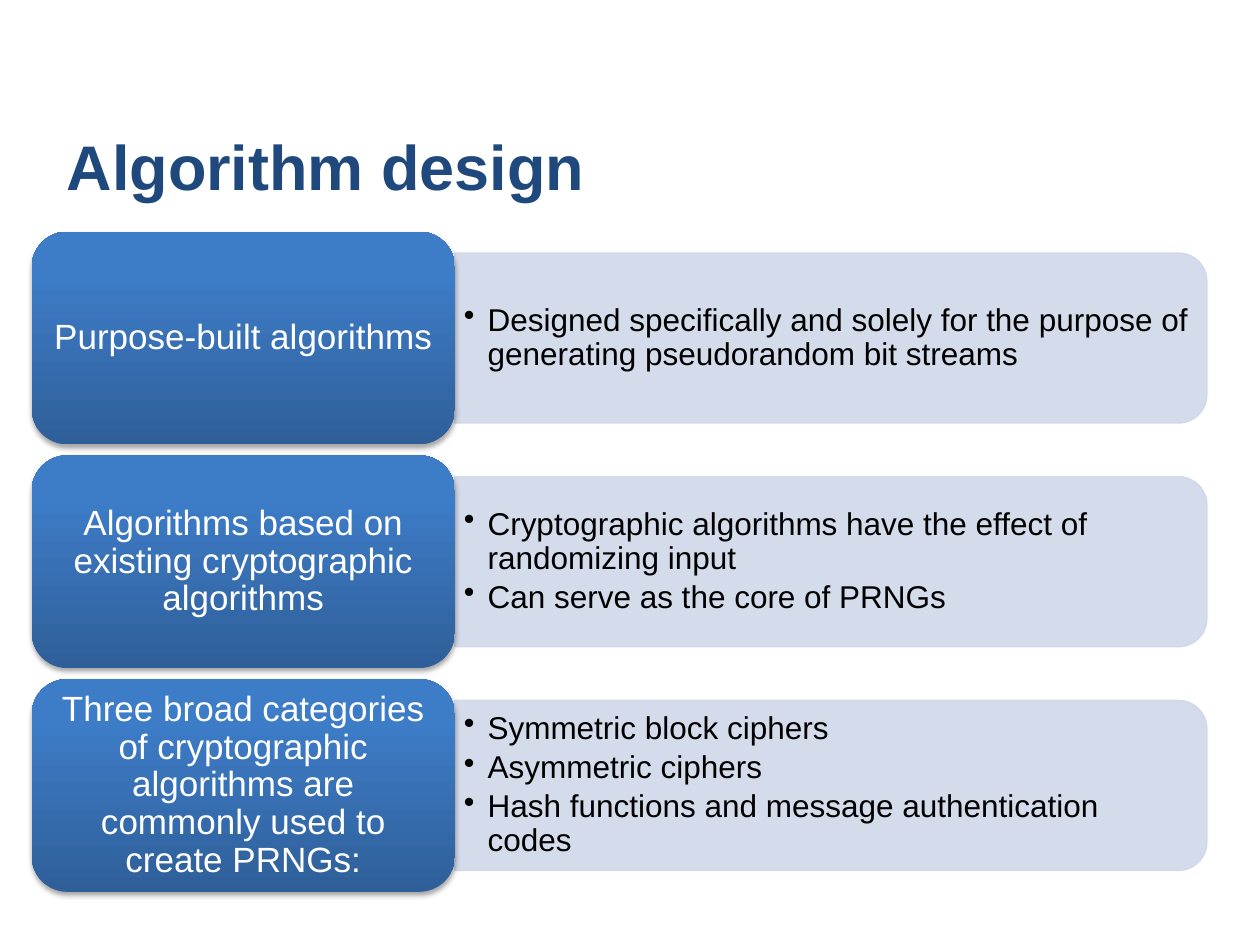
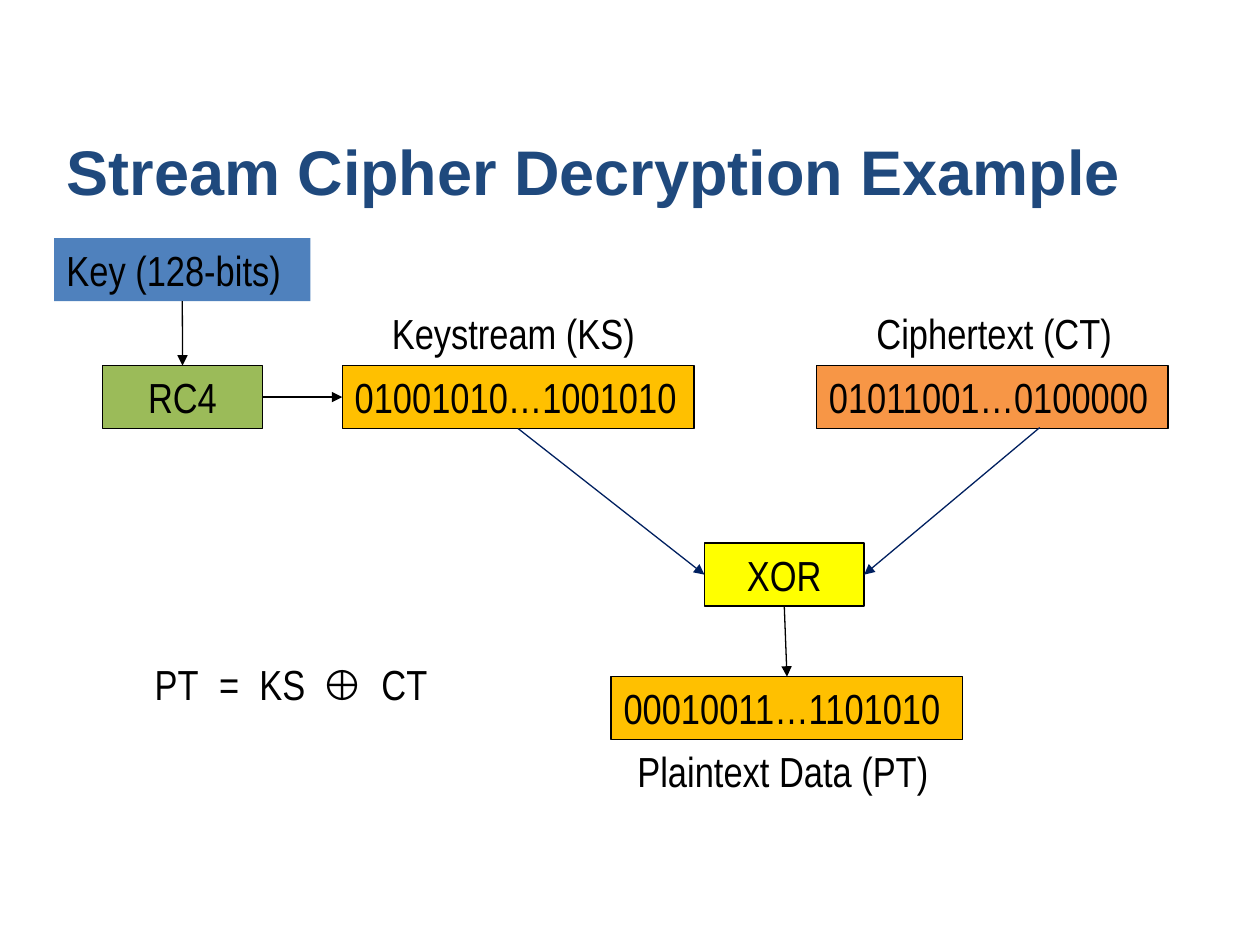
from lxml.etree import SubElement
from pptx import Presentation
from pptx.dml.color import RGBColor
from pptx.enum.shapes import MSO_CONNECTOR, MSO_SHAPE
from pptx.enum.text import MSO_ANCHOR, MSO_AUTO_SIZE, PP_ALIGN
from pptx.oxml.ns import qn
from pptx.util import Cm, Pt

# Shared style
NAVY, DARK_BLUE = "1F497D", "002060"
BLACK, WHITE = "000000", "FFFFFF"
PANEL = "D0D8E8"
BLUE, GREEN, GOLD, ORANGE, YELLOW = "4F81BD", "9BBB59", "FFC000", "F79646", "FFFF00"
SANS, NARROW = "Arial", "Arial Narrow"
TOP, LEFT, BOTTOM, RIGHT = range(4)

# Rows of the algorithm slide, in cm
ROW_TOP, ROW_PITCH = 4.67, 4.51
TOPIC_LEFT, TOPIC_WIDTH, TOPIC_HEIGHT = 0.64, 8.53, 4.29
DETAIL_LEFT = TOPIC_LEFT + TOPIC_WIDTH
DETAIL_WIDTH, DETAIL_HEIGHT = 15.16, 3.43

# Boxes of the cipher diagram, in cm
BOX_HEIGHT = 1.27
BITS_WIDTH, STEP_WIDTH = 7.09, 3.22
KEY_TOP = 4.8
STREAM_TOP = 7.37
FORMULA_TOP = 13.16

ALGORITHMS = [
    ("Purpose-built algorithms",
     ["Designed specifically and solely for the purpose of generating "
      "pseudorandom bit streams"]),
    ("Algorithms based on existing cryptographic algorithms",
     ["Cryptographic algorithms have the effect of randomizing input",
      "Can serve as the core of PRNGs"]),
    ("Three broad categories of cryptographic algorithms are commonly used "
     "to create PRNGs:",
     ["Symmetric block ciphers",
      "Asymmetric ciphers",
      "Hash functions and message authentication codes"]),
]

FORMULA = [("PT", 2.87), ("=", 4.17), ("KS", 4.98), ("⊕", 6.24), ("CT", 7.44)]


def rgb(value):
    return RGBColor.from_string(value)


def set_font(paragraph, name, size, color, bold=False):
    font = paragraph.font
    font.name, font.size, font.bold = name, Pt(size), bold
    font.color.rgb = rgb(color)


def set_margins(frame, side, end):
    frame.margin_left = frame.margin_right = Cm(side)
    frame.margin_top = frame.margin_bottom = Cm(end)


def set_alpha(fill, percent):
    color = fill._xPr.find(".//" + qn("a:srgbClr"))
    SubElement(color, qn("a:alpha"), val=str(percent * 1000))


def add_soft_shadow(shape):
    shape.shadow.inherit = False
    effects = shape._element.spPr.find(qn("a:effectLst"))
    shadow = SubElement(effects, qn("a:outerShdw"), blurRad="40000", dist="23000",
                        dir="5400000", rotWithShape="0")
    color = SubElement(shadow, qn("a:srgbClr"), val=BLACK)
    SubElement(color, qn("a:alpha"), val="35000")


def add_bullet(paragraph):
    properties = paragraph._p.get_or_add_pPr()
    properties.set("marL", str(Cm(0.48)))
    properties.set("indent", str(-Cm(0.48)))
    SubElement(properties, qn("a:buChar"), char="•")


def add_titled_slide(deck, text, height):
    slide = deck.slides.add_slide(deck.slide_layouts[5])
    title = slide.shapes.title
    title.left, title.top, title.width, title.height = (
        Cm(1.09), Cm(2.54), Cm(23.39), Cm(height))
    frame = title.text_frame
    frame.text = text
    frame.auto_size = MSO_AUTO_SIZE.NONE
    frame.vertical_anchor = MSO_ANCHOR.BOTTOM
    paragraph = frame.paragraphs[0]
    paragraph.alignment = PP_ALIGN.LEFT
    set_font(paragraph, SANS, 36, NAVY, bold=True)
    return slide


def add_detail_panel(slide, middle, points):
    # The panel is a tall shape turned on its side, rounded on the right
    panel = slide.shapes.add_shape(
        MSO_SHAPE.ROUND_2_SAME_RECTANGLE,
        Cm(DETAIL_LEFT + (DETAIL_WIDTH - DETAIL_HEIGHT) / 2),
        Cm(middle - DETAIL_WIDTH / 2), Cm(DETAIL_HEIGHT), Cm(DETAIL_WIDTH))
    panel.rotation = 90
    panel.shadow.inherit = False
    panel.line.width = Pt(0.75)
    for fill in (panel.fill, panel.line.fill):
        fill.solid()
        fill.fore_color.rgb = rgb(PANEL)
        set_alpha(fill, 90)

    height = 3.1
    details = slide.shapes.add_textbox(
        Cm(DETAIL_LEFT), Cm(middle - height / 2), Cm(15), Cm(height))
    frame = details.text_frame
    frame.word_wrap = True
    frame.vertical_anchor = MSO_ANCHOR.MIDDLE
    set_margins(frame, 0.18, 0.1)
    frame.text = "\n".join(points)
    for paragraph in frame.paragraphs:
        paragraph.line_spacing = 0.9
        paragraph.space_after = Pt(3)
        add_bullet(paragraph)
        set_font(paragraph, SANS, 18, BLACK)


def add_topic(slide, top, text):
    topic = slide.shapes.add_shape(
        MSO_SHAPE.ROUNDED_RECTANGLE, Cm(TOPIC_LEFT), Cm(top),
        Cm(TOPIC_WIDTH), Cm(TOPIC_HEIGHT))
    topic.fill.gradient()
    topic.fill.gradient_angle = 90
    stops = zip(topic.fill.gradient_stops, (0, 0.8), ("2F5F99", "3D7CC7"))
    for stop, position, color in stops:
        stop.position = position
        stop.color.rgb = rgb(color)
    topic.line.fill.background()
    add_soft_shadow(topic)
    frame = topic.text_frame
    set_margins(frame, 0.2, 0.1)
    frame.text = text
    paragraph = frame.paragraphs[0]
    paragraph.alignment = PP_ALIGN.CENTER
    paragraph.line_spacing = 0.9
    set_font(paragraph, SANS, 20, WHITE)


def write_diagram_text(shape, text, align=PP_ALIGN.LEFT, bold=False):
    frame = shape.text_frame
    frame.word_wrap = True
    frame.text = text
    paragraph = frame.paragraphs[0]
    paragraph.alignment = align
    set_font(paragraph, NARROW, 24, BLACK, bold)


def add_box(slide, text, left, top, width, fill, align=PP_ALIGN.LEFT, outlined=True):
    box = slide.shapes.add_shape(
        MSO_SHAPE.RECTANGLE, Cm(left), Cm(top), Cm(width), Cm(BOX_HEIGHT))
    box.shadow.inherit = False
    box.fill.solid()
    box.fill.fore_color.rgb = rgb(fill)
    if outlined:
        box.line.color.rgb = rgb(BLACK)
        box.line.width = Pt(0.75)
    else:
        box.line.fill.background()
    write_diagram_text(box, text, align)
    return box


def add_label(slide, text, left, top, width, bold=False):
    label = slide.shapes.add_textbox(Cm(left), Cm(top), Cm(width), Cm(BOX_HEIGHT))
    write_diagram_text(label, text, bold=bold)


def add_arrow(slide, target, target_side, source=None, source_side=BOTTOM,
              start=(0, 0), color=BLACK):
    """Run from a side of source, or from a free start point, to a side of target."""
    x, y = map(Cm, start)
    arrow = slide.shapes.add_connector(MSO_CONNECTOR.STRAIGHT, x, y, x, y)
    if source is not None:
        arrow.begin_connect(source, source_side)
    arrow.end_connect(target, target_side)
    arrow.line.color.rgb = rgb(color)
    arrow.line.width = Pt(0.75)
    SubElement(arrow.line._get_or_add_ln(), qn("a:tailEnd"), type="triangle")
    SubElement(arrow._element.spPr, qn("a:effectLst"))


def build_algorithm_slide(deck):
    slide = add_titled_slide(deck, "Algorithm design", 1.68)
    for row, (topic, points) in enumerate(ALGORITHMS):
        top = ROW_TOP + row * ROW_PITCH
        add_detail_panel(slide, top + TOPIC_HEIGHT / 2, points)
        add_topic(slide, top, topic)


def build_decryption_slide(deck):
    slide = add_titled_slide(deck, "Stream Cipher Decryption Example", 1.78)

    # Boxes
    key = add_box(slide, "Key (128-bits)", 1.09, KEY_TOP, 5.17, BLUE, outlined=False)
    rc4 = add_box(slide, "RC4", 2.07, STREAM_TOP, STEP_WIDTH, GREEN, PP_ALIGN.CENTER)
    keystream = add_box(slide, "01001010…1001010", 6.9, STREAM_TOP, BITS_WIDTH, GOLD)
    add_box(slide, "01011001…0100000", 16.46, STREAM_TOP, BITS_WIDTH, ORANGE)
    xor = add_box(slide, "XOR", 14.2, 10.95, STEP_WIDTH, YELLOW, PP_ALIGN.CENTER)
    plaintext = add_box(slide, "00010011…1101010", 12.32, 13.64, BITS_WIDTH, GOLD)

    # Labels
    label_top = STREAM_TOP - BOX_HEIGHT - 0.02
    add_label(slide, "Keystream (KS)", 7.65, label_top, 5.7)
    add_label(slide, "Ciphertext (CT)", 17.42, label_top, 5.5)
    add_label(slide, "Plaintext Data (PT)", 12.6, 14.91, 6.6)

    # Arrows
    add_arrow(slide, rc4, TOP, key)
    add_arrow(slide, keystream, LEFT, rc4, RIGHT)
    add_arrow(slide, xor, LEFT, keystream, color=DARK_BLUE)
    add_arrow(slide, xor, RIGHT, start=(20.96, 8.62), color=DARK_BLUE)
    add_arrow(slide, plaintext, TOP, xor)

    # Formula
    for symbol, left in FORMULA:
        add_label(slide, symbol, left, FORMULA_TOP, 1.6, bold=symbol == "⊕")


def main():
    deck = Presentation()
    deck.slide_width, deck.slide_height = Cm(25.4), Cm(19.05)
    build_algorithm_slide(deck)
    build_decryption_slide(deck)
    deck.save("out.pptx")


if __name__ == "__main__":
    main()
